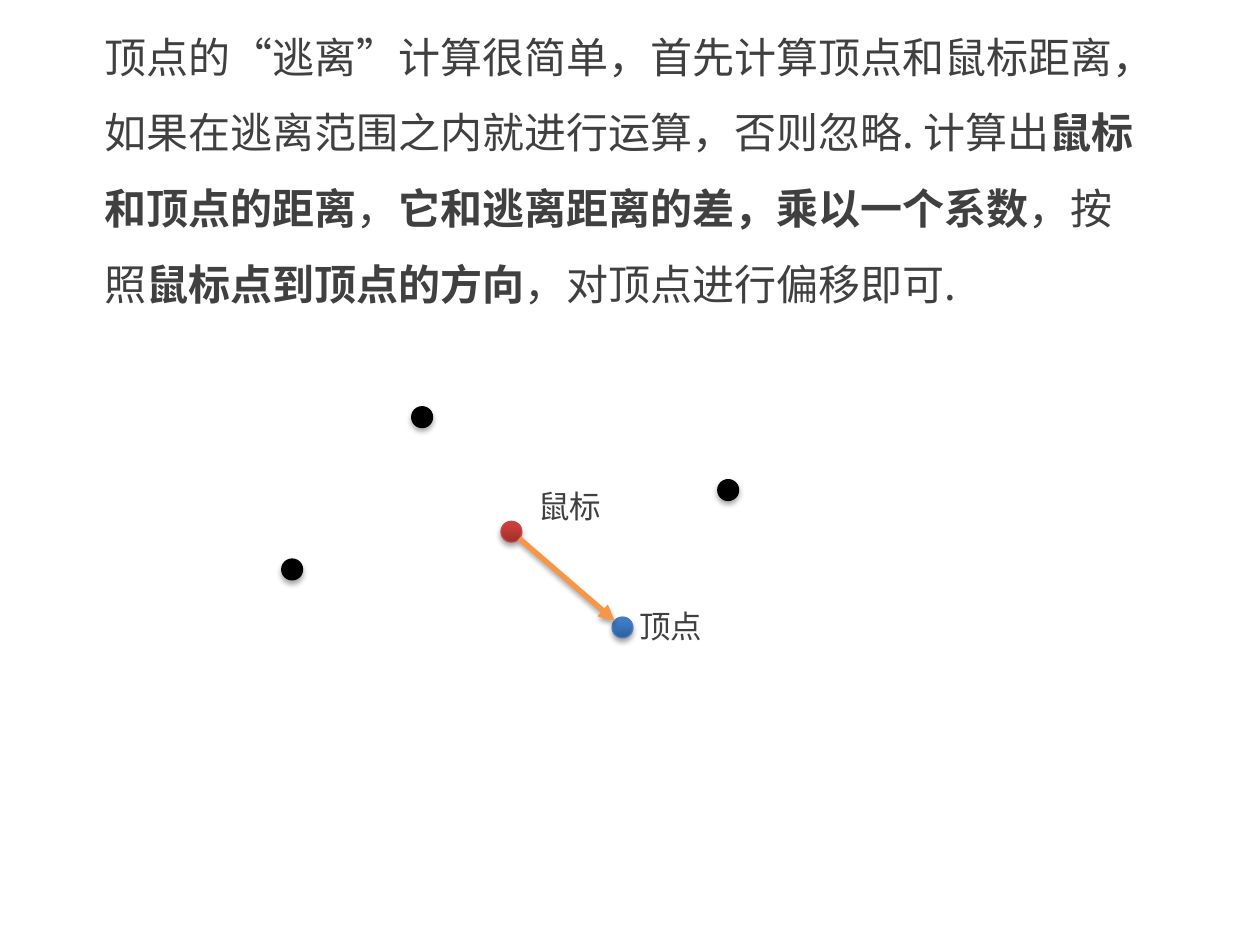
"""Build the slide that explains how vertices escape from the mouse."""
from dataclasses import dataclass
from math import hypot

from lxml.etree import SubElement
from pptx import Presentation
from pptx.dml.color import RGBColor as Color
from pptx.enum.shapes import MSO_CONNECTOR as Connector, MSO_SHAPE as Shape
from pptx.enum.text import MSO_AUTO_SIZE as AutoSize
from pptx.oxml.ns import qn
from pptx.util import Cm, Pt


@dataclass(frozen=True)
class Theme:
    font: str = "Noto Sans CJK SC"
    text: str = "404040"
    body_size: int = 24
    label_size: int = 18
    point: str = "000000"
    mouse: tuple = ("9C2F2D", "CB3E3A", "BF4C48")
    vertex: tuple = ("2F5F99", "3D7CC7", "4B7EBC")
    arrow: str = "F79646"
    shadow: str = "000000"


THEME = Theme()
DOT_SIZE = 0.42
MOUSE = (10.31, 10.72)
VERTEX = (12.55, 12.65)
OTHER_POINTS = [(8.51, 8.41), (5.89, 11.48), (14.68, 9.88)]
EXPLANATION = [
    ("顶点的“逃离”计算很简单，首先计算顶点和鼠标距离，"
     "如果在逃离范围之内就进行运算，否则忽略. 计算出", False),
    ("鼠标和顶点的距离", True),
    ("，", False),
    ("它和逃离距离的差，乘以一个系数", True),
    ("，按照", False),
    ("鼠标点到顶点的方向", True),
    ("，对顶点进行偏移即可.", False),
]


def add_text(slide, left, top, width, height, runs, size, spacing=1.0):
    box = slide.shapes.add_textbox(Cm(left), Cm(top), Cm(width), Cm(height))
    frame = box.text_frame
    frame.word_wrap = True
    frame.auto_size = AutoSize.SHAPE_TO_FIT_TEXT
    paragraph = frame.paragraphs[0]
    paragraph.line_spacing = spacing
    paragraph.font.size = Pt(size)
    paragraph.font.color.rgb = Color.from_string(THEME.text)
    paragraph.font.name = THEME.font
    defaults = paragraph._p.pPr.find(qn("a:defRPr"))
    SubElement(defaults, qn("a:ea"), typeface=THEME.font)
    for text, bold in runs:
        run = paragraph.add_run()
        run.text = text
        run.font.bold = bold


def add_shadow(shape):
    effects = SubElement(shape._element.spPr, qn("a:effectLst"))
    shadow = SubElement(effects, qn("a:outerShdw"), blurRad=str(Pt(3.1)),
                        dist=str(Pt(1.8)), dir="5400000", rotWithShape="0")
    color = SubElement(shadow, qn("a:srgbClr"), val=THEME.shadow)
    SubElement(color, qn("a:alpha"), val="35000")


def add_dot(slide, center, dark, light, outline):
    left, top = (Cm(value - DOT_SIZE / 2) for value in center)
    dot = slide.shapes.add_shape(Shape.OVAL, left, top, Cm(DOT_SIZE), Cm(DOT_SIZE))
    if dark == light:
        dot.fill.solid()
        dot.fill.fore_color.rgb = Color.from_string(dark)
    else:
        dot.fill.gradient()
        dot.fill.gradient_angle = 90
        for stop, color, position in zip(dot.fill.gradient_stops, (dark, light), (0, 0.8)):
            stop.color.rgb = Color.from_string(color)
            stop.position = position
    dot.line.color.rgb = Color.from_string(outline)
    dot.line.width = Pt(0.75)
    add_shadow(dot)


def add_arrow(slide, start, end):
    """Join the rims of two dots, given their centres."""
    across, down = end[0] - start[0], end[1] - start[1]
    share = DOT_SIZE / 2 / hypot(across, down)
    inset_x, inset_y = across * share, down * share
    arrow = slide.shapes.add_connector(
        Connector.STRAIGHT,
        Cm(start[0] + inset_x), Cm(start[1] + inset_y),
        Cm(end[0] - inset_x), Cm(end[1] - inset_y))
    arrow.line.color.rgb = Color.from_string(THEME.arrow)
    arrow.line.width = Pt(3)
    SubElement(arrow.line._get_or_add_ln(), qn("a:tailEnd"), type="triangle")
    add_shadow(arrow)


def main():
    presentation = Presentation()
    presentation.slide_width, presentation.slide_height = Cm(25.4), Cm(19.05)
    slide = presentation.slides.add_slide(presentation.slide_layouts[6])
    add_text(slide, 1.85, 0, 21.6, 6.4, EXPLANATION, THEME.body_size, spacing=1.5)
    for center in OTHER_POINTS:
        add_dot(slide, center, THEME.point, THEME.point, THEME.point)
    add_dot(slide, VERTEX, *THEME.vertex)
    add_dot(slide, MOUSE, *THEME.mouse)
    add_arrow(slide, MOUSE, VERTEX)
    add_text(slide, 10.6, 9.7, 2.6, 1.03, [("鼠标", False)], THEME.label_size)
    add_text(slide, 12.64, 12.12, 1.82, 1.03, [("顶点", False)], THEME.label_size)
    presentation.save("out.pptx")


if __name__ == "__main__":
    main()
